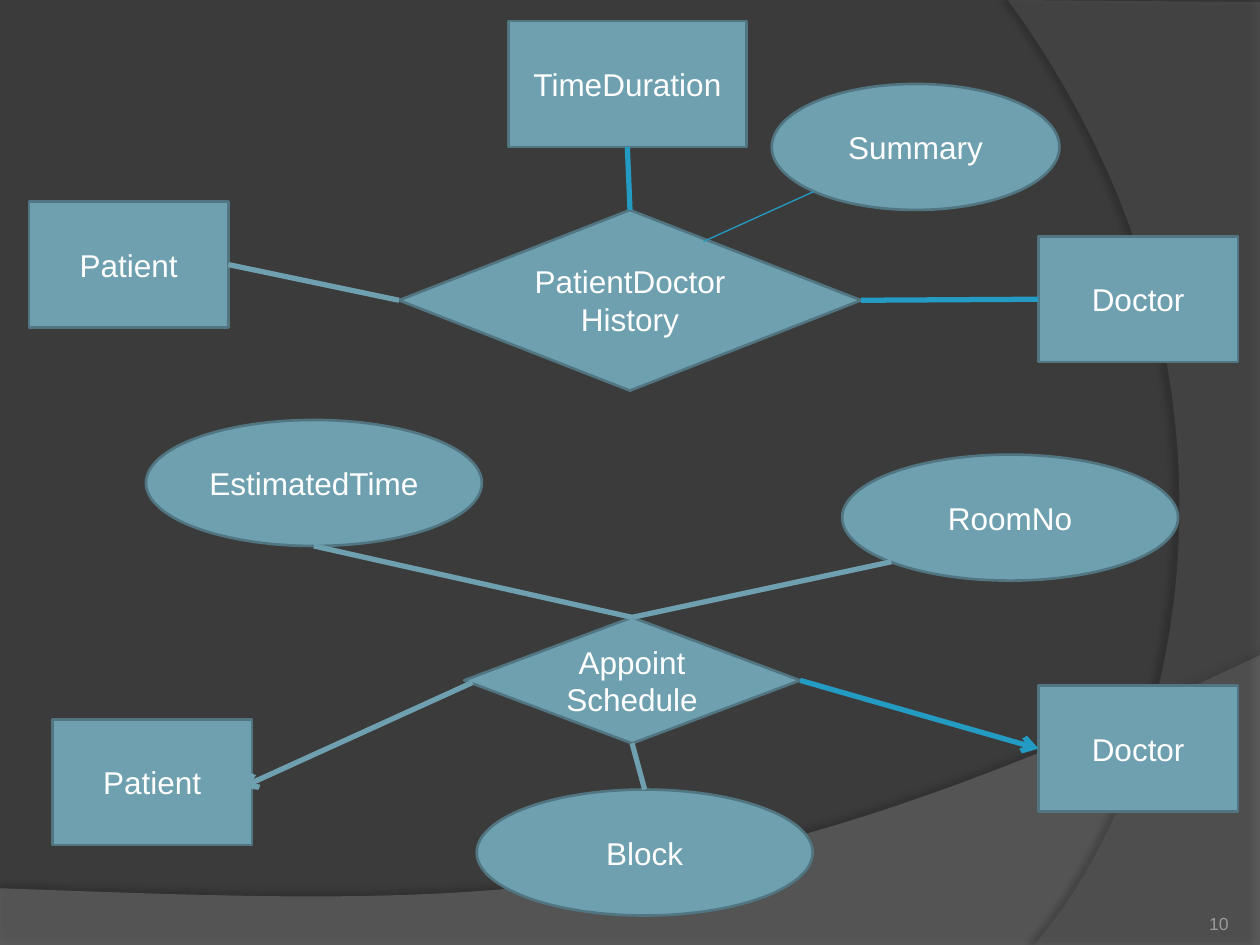
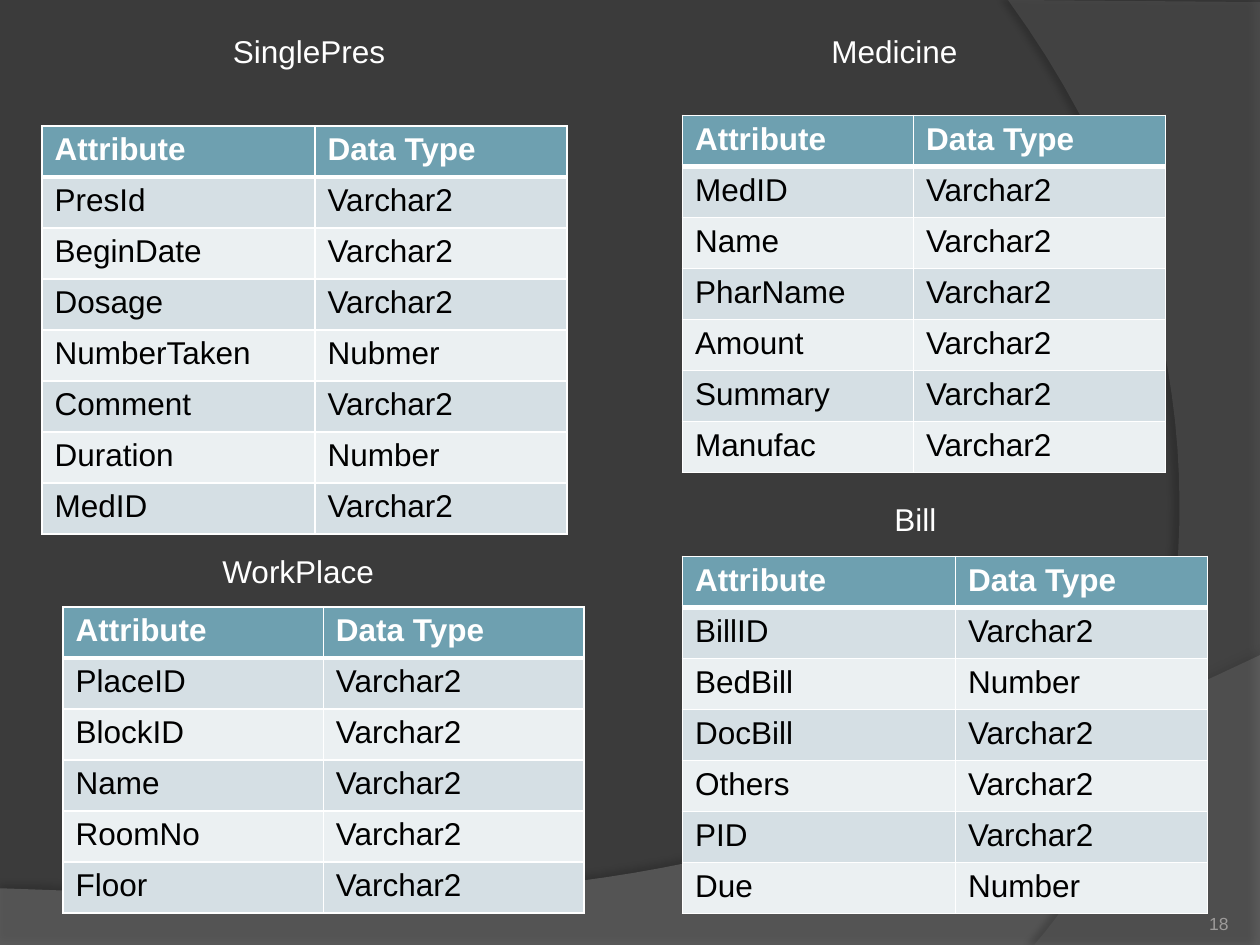
import pptx
import pptx.util
import pptx.oxml
import pptx.oxml.ns
from pptx.dml.color import RGBColor
from pptx.enum.shapes import MSO_CONNECTOR, MSO_SHAPE
from pptx.enum.text import MSO_ANCHOR, MSO_AUTO_SIZE, PP_ALIGN

COLORS = {"bg": "3B3B3B", "wave": "7F7F7F", "arc": "5E5E5E", "node": "6EA0B0",
          "edge": "517682", "accent": "239BC2", "white": "FFFFFF", "black": "000000",
          "number": "9D9B9A", "odd": "D5DFE4", "even": "EBF0F2"}
RGB = {name: RGBColor.from_string(value) for name, value in COLORS.items()}
qn = pptx.oxml.ns.qn
NS = pptx.oxml.ns.nsdecls("a")
COLS, ROWS = 120, 90  # slide grid, twelve cells to the inch


def u(n):
    return pptx.util.Inches(n / 12)


def write(tf, text, color, size=18, align=PP_ALIGN.LEFT, bold=False):
    tf.text = text
    for p in tf.paragraphs:
        p.alignment = align
        for r in p.runs:
            r.font.name, r.font.size = "Arial", pptx.util.Pt(size)
            r.font.bold, r.font.color.rgb = bold, RGB[color]


prs = pptx.Presentation()
prs.slide_width, prs.slide_height = u(COLS), u(ROWS)
layout = prs.slide_layouts[6]
diagram, schema = (prs.slides.add_slide(layout) for _ in range(2))

# Shared background: two translucent curved bands, kept on the layout
layout.background.fill.solid()
layout.background.fill.fore_color.rgb = RGB["bg"]
bands = [  # colour, opacity, Bezier points, corners, shadow opacity, distance, angle
    ("wave", 45, [(120, 62.4), (67.1, 87.5), (46.9, 86.3), (0, 84.6)],
     [(0, ROWS), (COLS, ROWS)], 35, 3.5, 270),
    ("arc", 40, [(98.5, ROWS), (112.2, 74.3), (122.2, 36), (96, 0)],
     [(COLS, 0.2), (COLS, ROWS)], 45, 4, 180),
]
STEPS = 40
for color, opacity, bezier, corners, shade, dist, angle in bands:
    points = []
    for i in range(STEPS + 1):
        t = i / STEPS
        weights = ((1 - t) ** 3, 3 * t * (1 - t) ** 2, 3 * t * t * (1 - t), t ** 3)
        points.append([sum(w * pt[axis] for w, pt in zip(weights, bezier)) for axis in (0, 1)])
    points = [(u(x), u(y)) for x, y in points + corners]
    builder = diagram.shapes.build_freeform(*points[0])
    builder.add_line_segments(points[1:], close=True)
    sp = builder.convert_to_shape()
    sp.fill.solid()
    sp.fill.fore_color.rgb = RGB[color]
    sp.line.fill.background()
    sp.shadow.inherit = False
    spPr = sp.element.spPr
    spPr.find(".//" + qn("a:srgbClr")).append(
        pptx.oxml.parse_xml(f'<a:alpha {NS} val="{opacity * 1000}"/>'))
    spPr.find(qn("a:effectLst")).append(pptx.oxml.parse_xml(
        f'<a:outerShdw {NS} blurRad="{pptx.util.Pt(4)}" dist="{pptx.util.Pt(dist)}" '
        f'dir="{angle * 60000}" algn="ctr" rotWithShape="0"><a:srgbClr val="{COLORS["black"]}">'
        f'<a:alpha val="{shade * 1000}"/></a:srgbClr></a:outerShdw>'))
    layout.shapes.element.append(sp.element)

# Page numbers
for s, number in ((diagram, "10"), (schema, "18")):
    tf = s.shapes.add_textbox(u(107), u(84.2), u(10), u(4.8)).text_frame
    tf.margin_left = tf.margin_right = tf.margin_top = tf.margin_bottom = 0
    tf.word_wrap, tf.vertical_anchor = True, MSO_ANCHOR.BOTTOM
    write(tf, number, "number", 10, PP_ALIGN.RIGHT)

# Diagram nodes: key, text, shape, left, top, width, height
RECT, OVAL, DIAMOND = MSO_SHAPE.RECTANGLE, MSO_SHAPE.OVAL, MSO_SHAPE.DIAMOND
nodes = [
    ("history patient", "Patient", RECT, 2.75, 19.2, 19, 12),
    ("summary", "Summary", OVAL, 73.5, 8, 27.4, 12),
    ("history doctor", "Doctor", RECT, 98.9, 22.5, 19, 12),
    ("history", "PatientDoctor\nHistory", DIAMOND, 38, 20, 44, 17.2),
    ("duration", "TimeDuration", RECT, 48.4, 2, 22.7, 12),
    ("schedule patient", "Patient", RECT, 5, 68.5, 19, 12),
    ("schedule doctor", "Doctor", RECT, 98.9, 65.3, 19, 12),
    ("schedule", "Appoint\nSchedule", DIAMOND, 44.2, 58.8, 32, 12),
    ("time", "EstimatedTime", OVAL, 13.9, 40, 32, 12),
    ("room", "RoomNo", OVAL, 80.2, 43.3, 32, 12),
    ("block", "Block", OVAL, 45.4, 75.2, 32, 12),
]
placed = {}
for key, text, kind, x, y, w, h in nodes:
    sp = placed[key] = diagram.shapes.add_shape(kind, u(x), u(y), u(w), u(h))
    sp.shadow.inherit = False
    sp.fill.solid()
    sp.fill.fore_color.rgb = RGB["node"]
    sp.line.color.rgb, sp.line.width = RGB["edge"], pptx.util.Pt(1.5)
    sp.text_frame.word_wrap = True
    sp.text_frame.vertical_anchor = MSO_ANCHOR.MIDDLE
    write(sp.text_frame, text, "white", align=PP_ALIGN.CENTER)

# Diagram links: each end is a node with a side, or a grid point
TOP, LEFT, BOTTOM, RIGHT = range(4)
links = [
    ((77.5, 18.25), (67, 23), "accent", 0.75, False),
    (("history", LEFT), ("history patient", RIGHT), "node", 3, False),
    (("history", RIGHT), ("history doctor", LEFT), "accent", 3, False),
    (("history", TOP), ("duration", BOTTOM), "accent", 3, False),
    ((45, 65), (23, 75), "node", 3, True),
    (("schedule", RIGHT), ("schedule doctor", LEFT), "accent", 3, True),
    (("schedule", TOP), (29.9, 52), "node", 3, False),
    (("schedule", TOP), (84.9, 53.5), "node", 3, False),
    (("schedule", BOTTOM), ("block", TOP), "node", 3, False),
]
for begin, end, color, width, arrow in links:
    ends = [(0, 0) if isinstance(e[0], str) else e for e in (begin, end)]
    line = diagram.shapes.add_connector(MSO_CONNECTOR.STRAIGHT, *(u(n) for e in ends for n in e))
    for e, connect in ((begin, line.begin_connect), (end, line.end_connect)):
        if isinstance(e[0], str):
            connect(placed[e[0]], e[1])
    line.line.color.rgb, line.line.width = RGB[color], pptx.util.Pt(width)
    if arrow:
        line.line._get_or_add_ln().append(pptx.oxml.parse_xml(f'<a:tailEnd {NS} type="arrow"/>'))
    line.element.spPr.append(pptx.oxml.parse_xml(f"<a:effectLst {NS}/>"))

# Schema tables: caption, its left, top and width, table left and top, columns, fields
V, N = "Varchar2", "Number"
tables = [
    ("SinglePres", 21, 2.5, 17.2, 4, 12, (26, 24),
     [("PresId", V), ("BeginDate", V), ("Dosage", V), ("NumberTaken", "Nubmer"),
      ("Comment", V), ("Duration", N), ("MedID", V)]),
    ("Medicine", 78, 2.5, 15.6, 65, 11, (22, 24),
     [("MedID", V), ("Name", V), ("PharName", V), ("Amount", V), ("Summary", V),
      ("Manufac", V)]),
    ("Bill", 84, 47, 6.9, 65, 53, (26, 24),
     [("BillID", V), ("BedBill", N), ("DocBill", V), ("Others", V), ("PID", V), ("Due", N)]),
    ("WorkPlace", 20, 52, 17.4, 6, 57.8, (24.8, 24.8),
     [("PlaceID", V), ("BlockID", V), ("Name", V), ("RoomNo", V), ("Floor", V)]),
]
ROW_H = 4.86
for caption, cx, cy, cw, x, y, widths, fields in tables:
    tf = schema.shapes.add_textbox(u(cx), u(cy), u(cw), u(4.8)).text_frame
    tf.word_wrap, tf.auto_size = False, MSO_AUTO_SIZE.SHAPE_TO_FIT_TEXT
    write(tf, caption, "white")

    rows = [("Attribute", "Data Type")] + fields
    table = schema.shapes.add_table(len(rows), 2, u(x), u(y), u(sum(widths)),
                                    u(ROW_H * len(rows))).table
    for column, width in zip(table.columns, widths):
        column.width = u(width)
    for i, row in enumerate(rows):
        table.rows[i].height = u(ROW_H)
        for j, text in enumerate(row):
            cell = table.cell(i, j)
            write(cell.text_frame, text, "black" if i else "white", bold=i == 0)
            tcPr = cell._tc.get_or_add_tcPr()
            for side in "LRTB":
                thick = (i, side) in ((0, "B"), (1, "T"))
                tcPr.append(pptx.oxml.parse_xml(
                    f'<a:ln{side} {NS} w="{pptx.util.Pt(3 if thick else 1)}"><a:solidFill>'
                    f'<a:srgbClr val="{COLORS["white"]}"/></a:solidFill></a:ln{side}>'))
            cell.fill.solid()
            cell.fill.fore_color.rgb = RGB["node" if i == 0 else "odd" if i % 2 else "even"]

prs.save("out.pptx")
